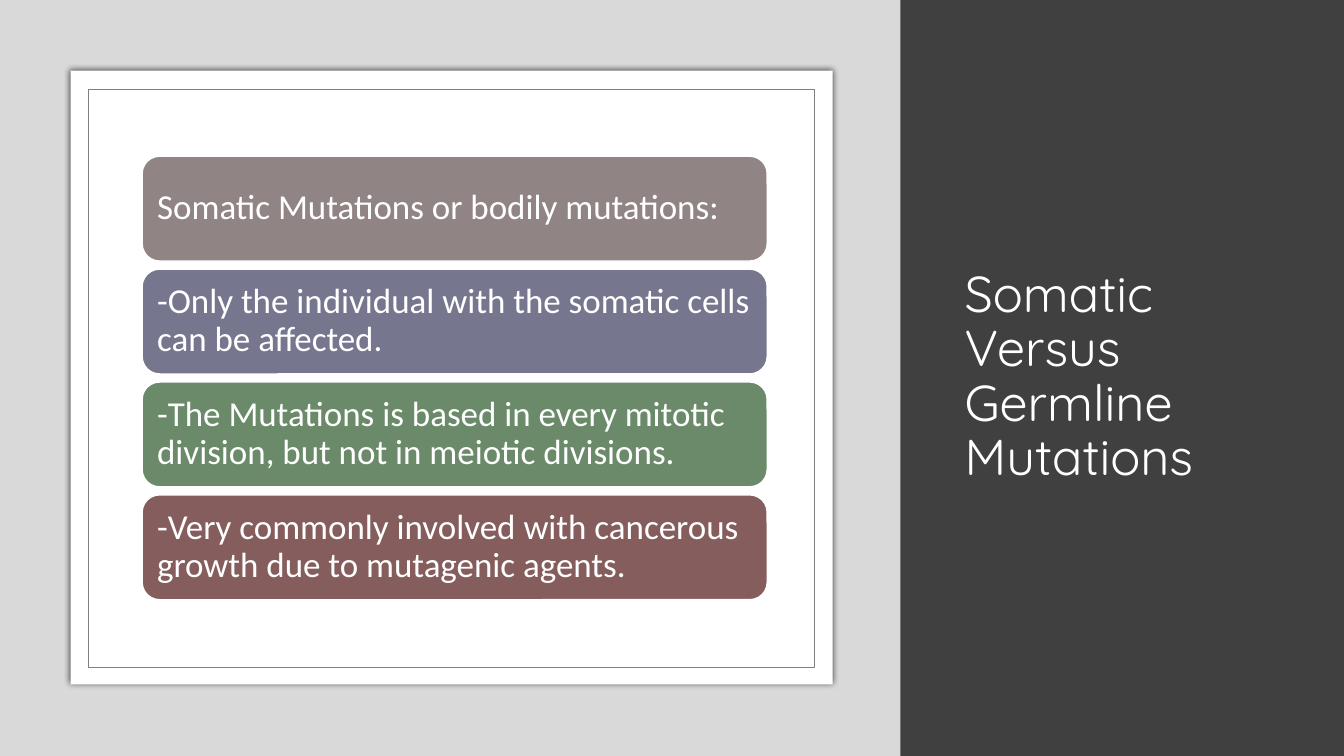
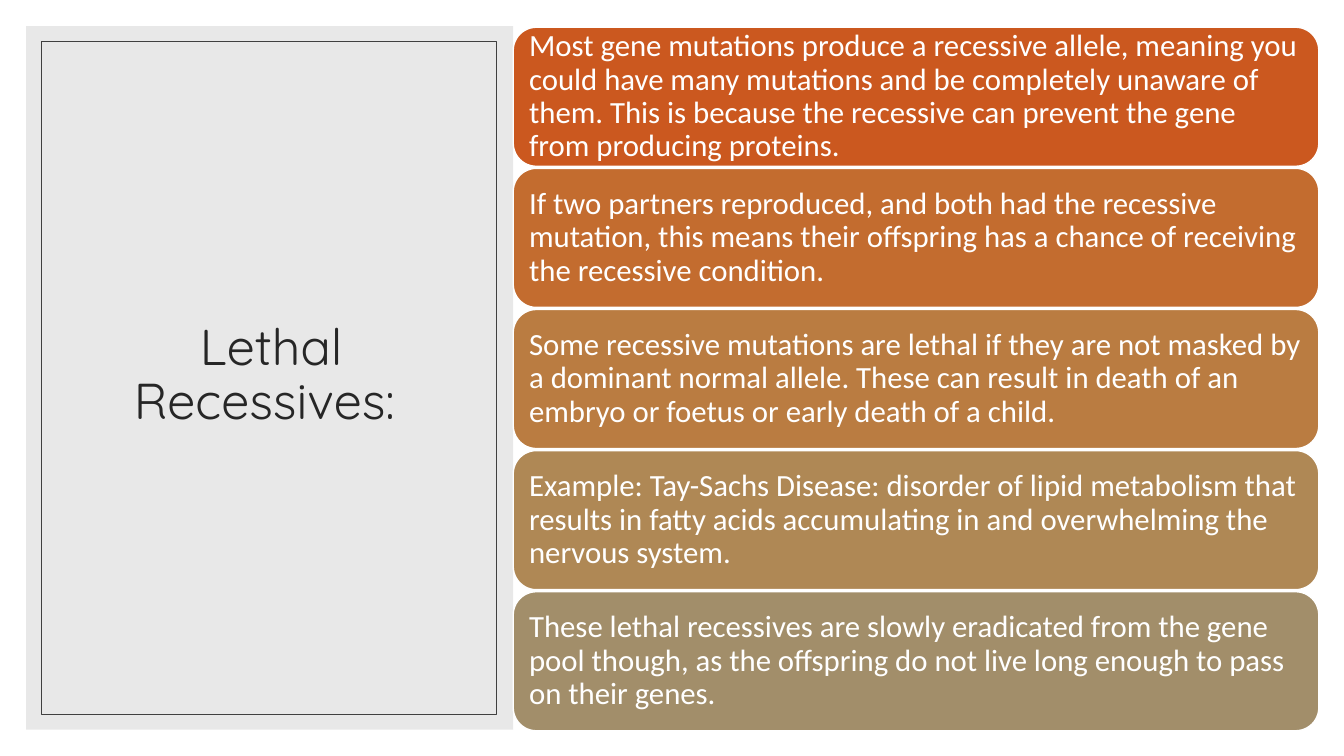
from dataclasses import dataclass

from pptx import Presentation
from pptx import oxml
from pptx.dml import color
from pptx.enum import shapes, text
from pptx.oxml import ns
from pptx.util import Inches, Pt


@dataclass(frozen=True)
class Theme:
    white: str = "FFFFFF"
    dark: str = "404040"
    ink: str = "262626"
    panel: str = "D9D9D9"
    frame: str = "808080"
    shadow: str = "000000"
    title_font: str = "Quicksand"
    body_font: str = "Calibri"
    title_size: int = 36
    hairline: float = 0.5
    card_line: float = 1
    line_spacing: float = 0.9


SOMATIC_CARDS = [
    ("918485", "Somatic Mutations or bodily mutations:"),
    ("76778E", "-Only the individual with the somatic cells can be affected."),
    ("6A8A69", "-The Mutations is based in every mitotic division, "
               "but not in meiotic divisions."),
    ("855D5D", "-Very commonly involved with cancerous growth "
               "due to mutagenic agents."),
]

LETHAL_CARDS = [
    ("CB581F", "Most gene mutations produce a recessive allele, meaning you "
               "could have many mutations and be completely unaware of them. "
               "This is because the recessive can prevent the gene from "
               "producing proteins."),
    ("C36C2F", "If two partners reproduced, and both had the recessive "
               "mutation, this means their offspring has a chance of "
               "receiving the recessive condition."),
    ("BA7C41", "Some recessive mutations are lethal if they are not masked by "
               "a dominant normal allele. These can result in death of an "
               "embryo or foetus or early death of a child."),
    ("AF8855", "Example: Tay-Sachs Disease: disorder of lipid metabolism that "
               "results in fatty acids accumulating in and overwhelming the "
               "nervous system."),
    ("A28E6A", "These lethal recessives are slowly eradicated from the gene "
               "pool though, as the offspring do not live long enough to pass "
               "on their genes."),
]


def rgb(value):
    return color.RGBColor.from_string(value)


def write(sp, content, *, font, size, fill, spacing, align="LEFT",
          inset_x=0.1, inset_y=0.05):
    """Fill a shape with one vertically centred, wrapped paragraph."""
    tf = sp.text_frame
    tf.word_wrap = True
    tf.vertical_anchor = text.MSO_ANCHOR.MIDDLE
    tf.margin_left = tf.margin_right = Inches(inset_x)
    tf.margin_top = tf.margin_bottom = Inches(inset_y)
    p = tf.paragraphs[0]
    p.alignment = text.PP_ALIGN[align]
    p.line_spacing = spacing
    r = p.add_run()
    r.text = content
    r.font.name = font
    r.font.size = Pt(size)
    r.font.color.rgb = rgb(fill)


class Deck:
    def __init__(self, theme):
        self.theme = theme
        self.prs = Presentation()
        self.prs.slide_width = Inches(13.33)
        self.prs.slide_height = Inches(7.5)
        self.s = None

    def new_slide(self):
        self.s = self.prs.slides.add_slide(self.prs.slide_layouts[6])

    def box(self, x, y, w, h, fill=None, line=None, line_width=None,
            kind="RECTANGLE"):
        sp = self.s.shapes.add_shape(
            shapes.MSO_SHAPE[kind], *map(Inches, (x, y, w, h)))
        sp.shadow.inherit = False
        if fill:
            sp.fill.solid()
            sp.fill.fore_color.rgb = rgb(fill)
        else:
            sp.fill.background()
        if line:
            sp.line.color.rgb = rgb(line)
            sp.line.width = Pt(line_width or self.theme.hairline)
        else:
            sp.line.fill.background()
        return sp

    def set_opacity(self, sp, percent):
        clr = sp.fill._xPr.find(".//" + ns.qn("a:srgbClr"))
        alpha = oxml.parse_xml(
            f'<a:alpha {ns.nsdecls("a")} val="{percent * 1000}"/>')
        clr.append(alpha)

    def add_glow_shadow(self, sp, blur, percent):
        """Put an even, undisplaced shadow around the shape."""
        effects = sp._element.spPr.find(ns.qn("a:effectLst"))
        effects.append(oxml.parse_xml(
            f'<a:outerShdw {ns.nsdecls("a")} blurRad="{Pt(blur)}" dist="0" '
            f'algn="ctr" rotWithShape="0">'
            f'<a:srgbClr val="{self.theme.shadow}">'
            f'<a:alpha val="{percent * 1000}"/></a:srgbClr></a:outerShdw>'))

    def title(self, content, x, y, w, h, fill, align="LEFT"):
        sp = self.s.shapes.add_textbox(*map(Inches, (x, y, w, h)))
        write(sp, content, font=self.theme.title_font,
              size=self.theme.title_size, fill=fill, align=align,
              spacing=self.theme.line_spacing)

    def card_stack(self, cards, x, y, w, h, pitch, size, inset):
        """Stack rounded text cards, one every pitch inches."""
        t = self.theme
        for i, (fill, content) in enumerate(cards):
            sp = self.box(x, y + i * pitch, w, h, fill, t.white, t.card_line,
                          kind="ROUNDED_RECTANGLE")
            write(sp, content, font=t.body_font, size=size, fill=t.white,
                  spacing=t.line_spacing, inset_x=inset, inset_y=inset)


def somatic_slide(deck):
    t = deck.theme
    deck.new_slide()
    deck.box(0, 0, 13.33, 7.5, t.dark)
    deck.title("Somatic Versus Germline Mutations",
               9.47, 0.7, 3.16, 6.09, t.white)
    deck.box(0, 0, 8.93, 7.5, t.panel)
    paper = deck.box(0.7, 0.7, 7.56, 6.09, t.white)
    deck.add_glow_shadow(paper, blur=4, percent=66)
    deck.box(0.88, 0.89, 7.2, 5.73, t.white, t.frame)
    deck.card_stack(SOMATIC_CARDS, 1.41, 1.55, 6.2, 1.04, pitch=1.12,
                    size=25, inset=0.1)


def lethal_slide(deck):
    t = deck.theme
    deck.new_slide()
    panel = deck.box(0.26, 0.26, 4.83, 6.98, t.panel)
    deck.set_opacity(panel, 60)
    deck.title("Lethal Recessives: ", 0.63, 0.61, 4.12, 6.24, t.ink,
               align="CENTER")
    deck.box(0.41, 0.41, 4.51, 6.68, line=t.dark)
    deck.card_stack(LETHAL_CARDS, 5.09, 0.27, 7.99, 1.38, pitch=1.4,
                    size=22, inset=0.09)


def main():
    deck = Deck(Theme())
    somatic_slide(deck)
    lethal_slide(deck)
    deck.prs.save("out.pptx")


if __name__ == "__main__":
    main()
